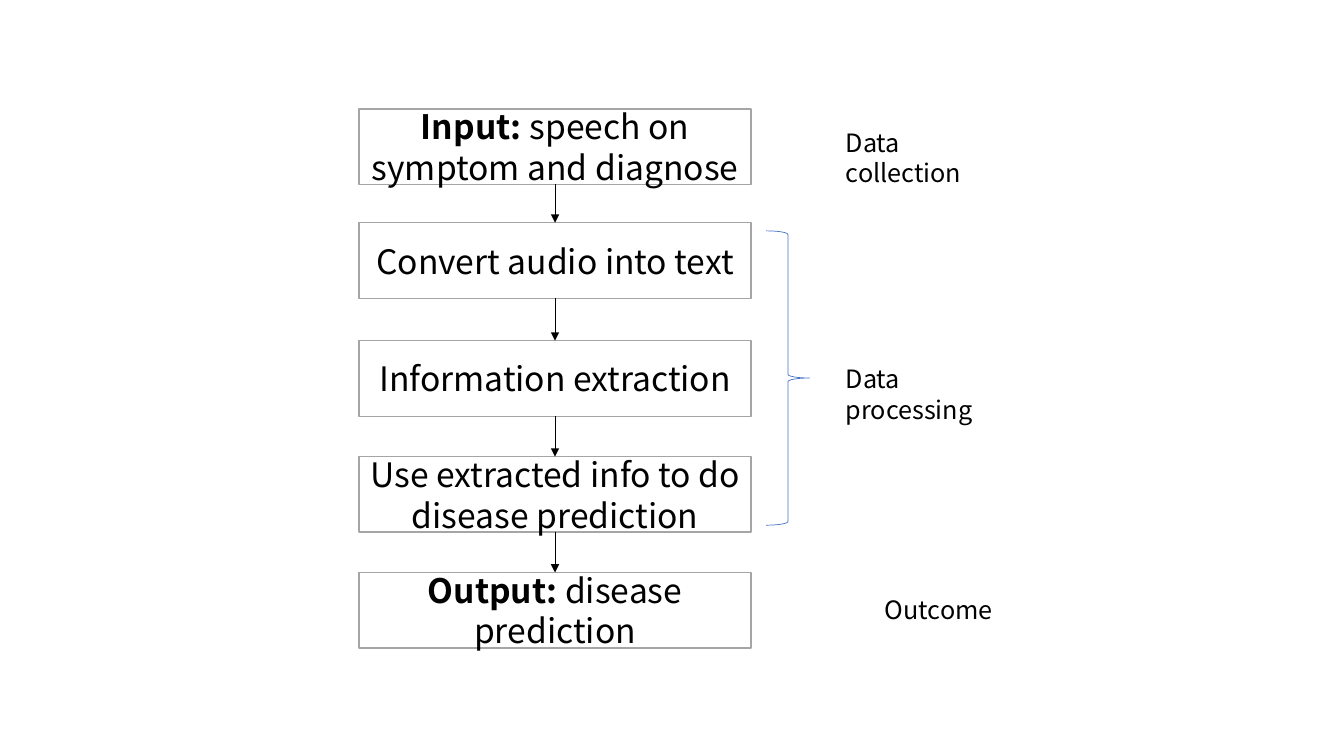
from dataclasses import dataclass

from lxml import etree
from pptx import Presentation
from pptx.dml.color import RGBColor
from pptx.enum.shapes import MSO_CONNECTOR, MSO_SHAPE
from pptx.enum.text import MSO_ANCHOR, PP_ALIGN
from pptx.oxml.ns import qn
from pptx.util import Inches, Pt

RECTANGLE = MSO_SHAPE.RECTANGLE
RIGHT_BRACE = MSO_SHAPE.RIGHT_BRACE
STRAIGHT = MSO_CONNECTOR.STRAIGHT
MIDDLE = MSO_ANCHOR.MIDDLE
LEFT, CENTER = PP_ALIGN.LEFT, PP_ALIGN.CENTER
BLANK_LAYOUT = 6


@dataclass(frozen=True)
class Theme:
    font: str = "Noto Sans CJK SC"
    text: RGBColor = RGBColor(0, 0, 0)
    box_fill: RGBColor = RGBColor(255, 255, 255)
    box_line: RGBColor = RGBColor(0xA5, 0xA5, 0xA5)
    brace: RGBColor = RGBColor(0x44, 0x72, 0xC4)
    step_size: int = 24
    label_size: int = 18
    box_line_width: float = 1
    thin_line_width: float = 0.5


THEME = Theme()

# Flow steps: top, bold lead, text
STEP_HEIGHT = 0.75
STEPS = [
    (1.08, "Input: ", "speech on symptom and diagnose"),
    (2.21, "", "Convert audio into text"),
    (3.38, "", "Information extraction"),
    (4.53, "", "Use extracted info to do disease prediction"),
    (5.68, "Output: ", "disease prediction"),
]

# Phase labels: top, width, text, alignment
LABELS = [
    (1.21, 1.85, "Data collection", LEFT),
    (3.56, 2.04, "Data processing", LEFT),
    (5.85, 2.04, "Outcome", CENTER),
]


def style_paragraph(paragraph, size, alignment):
    paragraph.alignment = alignment
    paragraph.font.name = THEME.font
    paragraph.font.size = Pt(size)
    paragraph.font.color.rgb = THEME.text


def add_step(slide, left, top, width, lead, text):
    shape = slide.shapes.add_shape(
        RECTANGLE, Inches(left), Inches(top), Inches(width), Inches(STEP_HEIGHT))
    shape.shadow.inherit = False
    shape.fill.solid()
    shape.fill.fore_color.rgb = THEME.box_fill
    shape.line.color.rgb = THEME.box_line
    shape.line.width = Pt(THEME.box_line_width)
    frame = shape.text_frame
    frame.word_wrap = True
    frame.vertical_anchor = MIDDLE
    paragraph = frame.paragraphs[0]
    style_paragraph(paragraph, THEME.step_size, CENTER)
    if lead:
        lead_run = paragraph.add_run()
        lead_run.text = lead
        lead_run.font.bold = True
    paragraph.add_run().text = text


def add_arrow(slide, x, top, bottom):
    arrow = slide.shapes.add_connector(
        STRAIGHT, Inches(x), Inches(top), Inches(x), Inches(bottom))
    arrow.line.color.rgb = THEME.text
    arrow.line.width = Pt(THEME.thin_line_width)
    etree.SubElement(arrow.line._get_or_add_ln(), qn("a:tailEnd"), type="triangle")
    etree.SubElement(arrow._element.spPr, qn("a:effectLst"))


def add_flow(slide, left, width):
    for top, lead, text in STEPS:
        add_step(slide, left, top, width, lead, text)
    # Arrows span the gaps between neighbouring steps
    for upper, lower in zip(STEPS, STEPS[1:]):
        add_arrow(slide, left + width / 2, upper[0] + STEP_HEIGHT, lower[0])


def add_brace(slide, left, top, width, height):
    brace = slide.shapes.add_shape(
        RIGHT_BRACE, Inches(left), Inches(top), Inches(width), Inches(height))
    brace.shadow.inherit = False
    brace.fill.background()
    brace.line.color.rgb = THEME.brace
    brace.line.width = Pt(THEME.thin_line_width)


def add_labels(slide, left):
    for top, width, text, alignment in LABELS:
        label = slide.shapes.add_textbox(
            Inches(left), Inches(top), Inches(width), Inches(0.4))
        frame = label.text_frame
        frame.word_wrap = True
        frame.text = text
        style_paragraph(frame.paragraphs[0], THEME.label_size, alignment)


def main():
    presentation = Presentation()
    presentation.slide_width = Inches(13.33)
    presentation.slide_height = Inches(7.5)
    slide = presentation.slides.add_slide(presentation.slide_layouts[BLANK_LAYOUT])
    add_flow(slide, 3.56, 3.89)
    add_brace(slide, 7.6, 2.29, 0.43, 2.92)
    add_labels(slide, 8.29)
    presentation.save("out.pptx")


if __name__ == "__main__":
    main()
